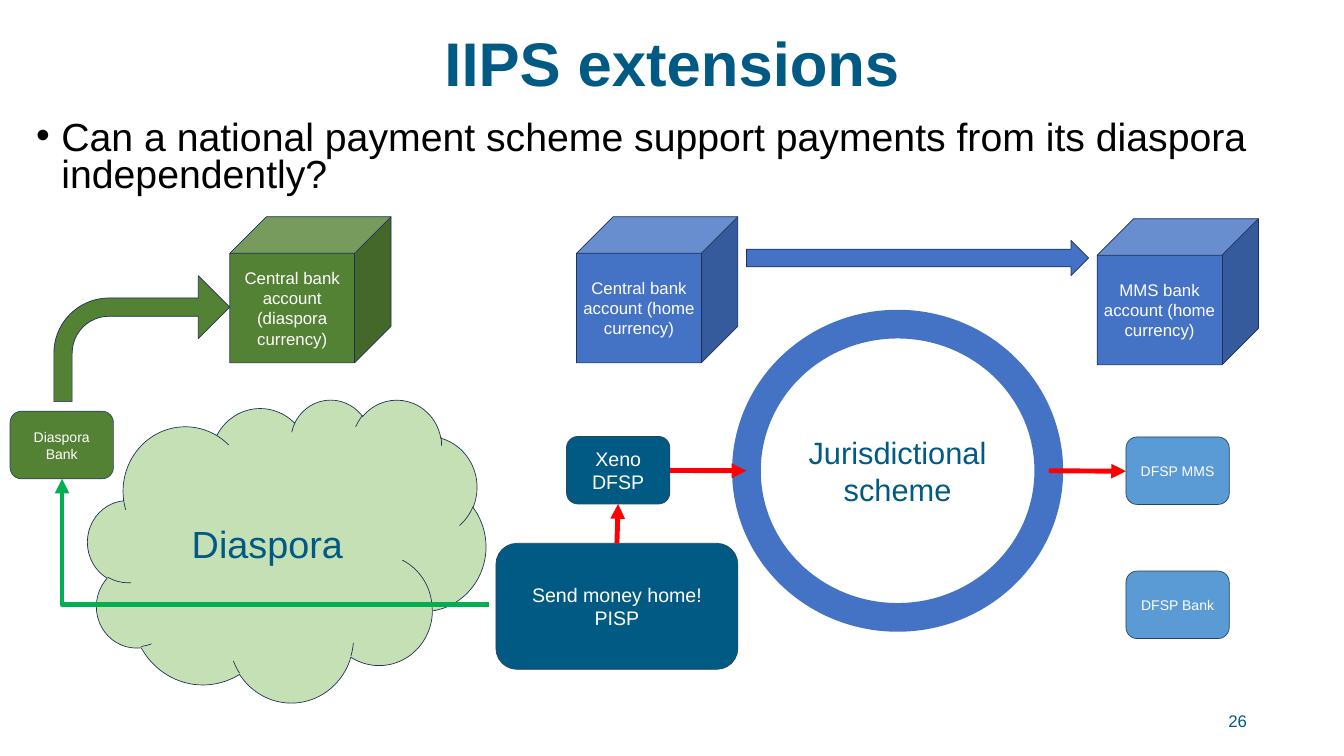
from lxml import etree
from pptx import Presentation
from pptx.dml.color import RGBColor
from pptx.enum.shapes import MSO_CONNECTOR as Connector, MSO_SHAPE as Shape
from pptx.enum.text import MSO_ANCHOR as Anchor, PP_ALIGN as Align
from pptx.oxml.ns import qn
from pptx.util import Pt

TEAL = RGBColor(0x00, 0x5A, 0x83)
BLUE = RGBColor(0x44, 0x72, 0xC4)
SKY = RGBColor(0x5B, 0x9B, 0xD5)
GREEN = RGBColor(0x54, 0x82, 0x35)
PALE_GREEN = RGBColor(0xC5, 0xE0, 0xB4)
NAVY = RGBColor(0x1E, 0x32, 0x56)
SLATE = RGBColor(0x28, 0x44, 0x5D)
RED = RGBColor(0xFF, 0x00, 0x00)
FLOW_GREEN = RGBColor(0x00, 0xB0, 0x50)
BLACK = RGBColor(0x00, 0x00, 0x00)
WHITE = RGBColor(0xFF, 0xFF, 0xFF)

CUBE = (230.4, 208.8)
PARTY = (147.6, 96.5)


def place(box, left, top, size):
    """Turn a position inside a region's box into slide lengths."""
    return [Pt(value) for value in (box[0] + left, box[1] + top, *size)]


def write(frame, text, size, color, align=Align.CENTER, anchor=Anchor.MIDDLE, bold=False):
    frame.word_wrap = True
    frame.vertical_anchor = anchor
    paragraph = frame.paragraphs[0]
    paragraph.alignment = align
    run = paragraph.add_run()
    run.text = text
    font = run.font
    font.name, font.size, font.bold = "Arial", Pt(size), bold
    font.color.rgb = color
    return paragraph


def add_text(slide, box, text, size, color, **options):
    text_box = slide.shapes.add_textbox(*place(box, 0, 0, box[2:]))
    return write(text_box.text_frame, text, size, color, **options)


def add_block(slide, kind, box, left, top, size, fill, line=NAVY, width=1):
    shape = slide.shapes.add_shape(kind, *place(box, left, top, size))
    shape.shadow.inherit = False
    if fill is None:
        shape.fill.background()
    else:
        shape.fill.solid()
        shape.fill.fore_color.rgb = fill
    shape.line.color.rgb = line
    shape.line.width = Pt(width)
    return shape


def add_account(slide, box, left, top, text, fill):
    cube = add_block(slide, Shape.CUBE, box, left, top, CUBE, fill)
    write(cube.text_frame, text, 24, WHITE)


def add_party(slide, box, left, top, text, fill, font_size=20, size=PARTY):
    party = add_block(slide, Shape.ROUNDED_RECTANGLE, box, left, top, size, fill, SLATE)
    write(party.text_frame, text, font_size, WHITE)


def add_flow(slide, box, start, end, color, kind=Connector.STRAIGHT):
    points = [Pt(box[axis] + point[axis]) for point in (start, end) for axis in (0, 1)]
    flow = slide.shapes.add_connector(kind, *points)
    flow.line.color.rgb = color
    flow.line.width = Pt(7)
    etree.SubElement(flow.line._get_or_add_ln(), qn("a:tailEnd"), type="triangle")
    etree.SubElement(flow._element.spPr, qn("a:effectLst"))
    return flow


def add_header(slide, box):
    left, top, width, _ = box
    # Title
    title = add_text(slide, (left, top, width, 117.4), "IIPS extensions", 88, TEAL, bold=True)
    title.line_spacing = 0.9
    # Bulleted question
    question = add_text(
        slide, (left, top + 132.5, width, 121),
        "Can a national payment scheme support payments from its diaspora independently?",
        56, BLACK, align=Align.LEFT, anchor=Anchor.TOP)
    question.line_spacing = 0.8
    properties = question._p.get_or_add_pPr()
    properties.set("marL", str(Pt(36)))
    properties.set("indent", str(Pt(-36)))
    etree.SubElement(properties, qn("a:buFont"), typeface="Arial")
    etree.SubElement(properties, qn("a:buChar"), char="•")


def add_diaspora(slide, box):
    # Accounts, bank and community
    add_account(slide, box, 313.9, 0, "Central bank account (diaspora currency)", GREEN)
    cloud = add_block(slide, Shape.CLOUD, box, 110.9, 260.6, (568.8, 432.7), PALE_GREEN)
    # The trailing space keeps the label slightly left of centre
    write(cloud.text_frame, "Diaspora ", 54, TEAL)
    add_party(slide, box, 0, 277.9, "Diaspora Bank", GREEN)

    # Payment into the bank, turning one corner
    flow = add_flow(slide, box, (684.7, 554.4), (74.2, 374.4), FLOW_GREEN, Connector.ELBOW)
    flow._element.spPr.find(qn("a:prstGeom")).set("prst", "bentConnector2")

    # Funds on to the central bank
    arrow = add_block(slide, Shape.BENT_ARROW, box, 62.6, 84.2, (251.3, 180), GREEN)
    for index, value in enumerate((0.145, 0.25, 0.25, 0.438)):
        arrow.adjustments[index] = value


def add_home_scheme(slide, box):
    # Scheme ring
    ring = add_block(slide, Shape.OVAL, box, 357.8, 153.4, (432, 419), None, BLUE, 41)
    write(ring.text_frame, "Jurisdictional scheme", 44, TEAL)

    # Participants
    add_party(slide, box, 900, 506.2, "DFSP Bank", SKY)
    add_party(slide, box, 900, 314.6, "DFSP MMS", SKY)
    add_party(slide, box, 100.8, 313.9, "Xeno DFSP", TEAL, 28)
    add_party(slide, box, 0, 466.6, "Send money home! PISP", TEAL, 28, (345.6, 180))

    # Accounts and the transfer between them
    add_account(slide, box, 115.2, 0, "Central bank account (home currency)", BLUE)
    add_account(slide, box, 858.9, 2.9, "MMS bank account (home currency)", BLUE)
    add_block(slide, Shape.RIGHT_ARROW, box, 357.8, 33.8, (488.9, 50.4), BLUE)

    # Payment flows
    for start, end in (
        ((172.8, 466.6), (174.6, 410.4)),
        ((248.4, 362.5), (357.8, 362.9)),
        ((789.8, 362.9), (900, 363.6)),
    ):
        add_flow(slide, box, start, end, RED)


def main():
    presentation = Presentation()
    presentation.slide_width, presentation.slide_height = Pt(1920), Pt(1080)
    slide = presentation.slides.add_slide(presentation.slide_layouts[6])
    add_header(slide, (44.6, 36.7, 1831, 253.5))
    add_home_scheme(slide, (708.5, 309.6, 1090, 646.6))
    add_diaspora(slide, (14.4, 309.6, 684.7, 693.3))
    # Slide number
    add_text(slide, (1356.5, 1000.8, 432, 57.6), "26", 24, TEAL, align=Align.RIGHT)
    presentation.save("out.pptx")


if __name__ == "__main__":
    main()
